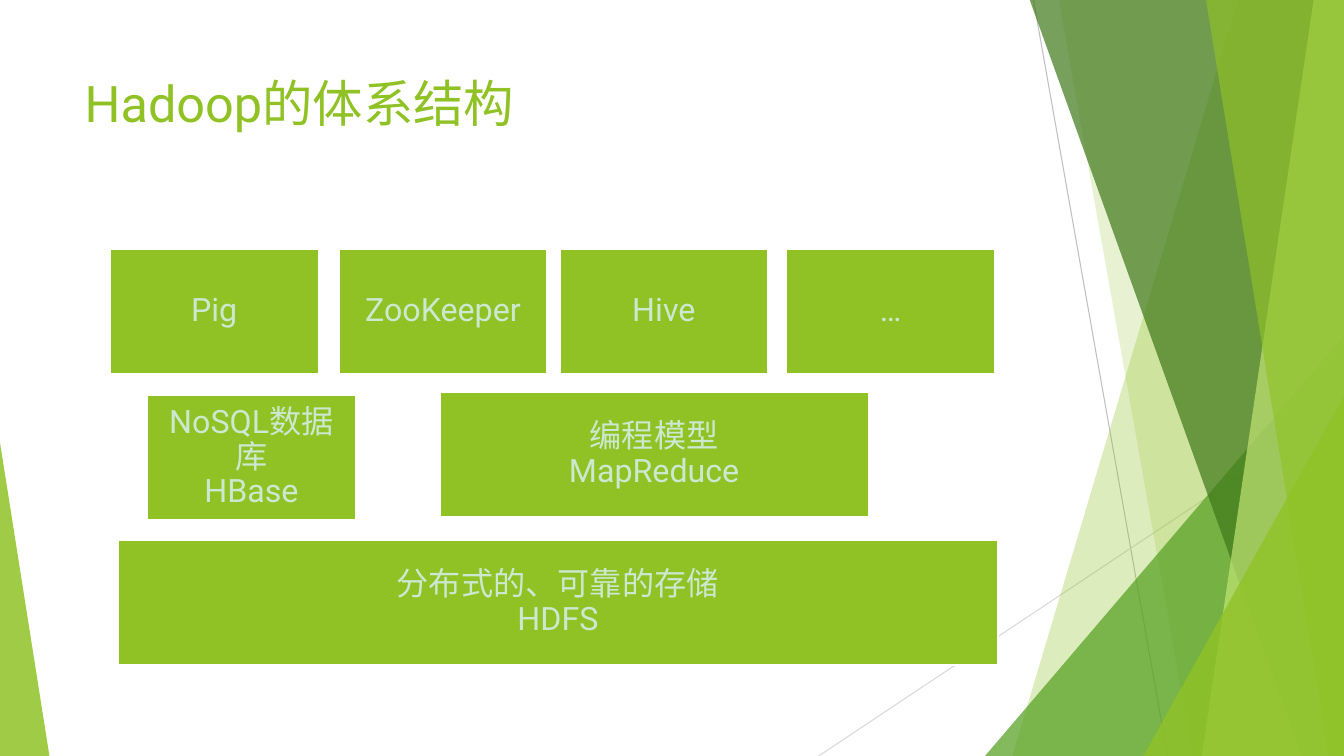
import pptx
import pptx.util
import pptx.dml.color
import pptx.enum.shapes
import pptx.enum.text
import pptx.oxml
import pptx.oxml.ns

GREEN, PALE, WHITE = "90C226", "CCE8CF", "FFFFFF"
COLUMNS, ROWS = 1333, 750

deck = pptx.Presentation()
deck.slide_width = pptx.util.Inches(13.33)
deck.slide_height = pptx.util.Inches(7.5)
column = deck.slide_width // COLUMNS
row = deck.slide_height // ROWS
page = deck.slides.add_slide(deck.slide_layouts[5])


def paint(fill, color):
    fill.solid()
    fill.fore_color.rgb = pptx.dml.color.RGBColor.from_string(color)


def write(shape, text, size=23, color=PALE, align="CENTER", anchor="MIDDLE", inset=0.1, spacing=0.9):
    frame = shape.text_frame
    frame.word_wrap = True
    frame.auto_size = pptx.enum.text.MSO_AUTO_SIZE.NONE
    frame.vertical_anchor = pptx.enum.text.MSO_ANCHOR[anchor]
    frame.margin_left = frame.margin_right = pptx.util.Inches(0.1)
    frame.margin_top = frame.margin_bottom = pptx.util.Inches(inset)
    para = frame.paragraphs[0]
    para.alignment = pptx.enum.text.PP_ALIGN[align]
    para.line_spacing = spacing
    for index, line in enumerate(text.split("\n")):
        if index:
            para.add_line_break()
        span = para.add_run()
        span.text = line
        span.font.size = pptx.util.Pt(size)
        span.font.name = "Roboto"
        paint(span.font.fill, color)


paint(page.background.fill, WHITE)

for left, top, right, bottom, color in [
    (1025, 0, 1158, ROWS, "BFBFBF"),
    (COLUMNS, 403, 812, ROWS, "D9D9D9"),
]:
    line = page.shapes.add_connector(
        pptx.enum.shapes.MSO_CONNECTOR.STRAIGHT,
        left * column, top * row, right * column, bottom * row)
    paint(line.line.fill, color)
    line.line.width = pptx.util.Pt(0.75)
    line.element.spPr.append(pptx.oxml.parse_xml(
        f"<a:effectLst {pptx.oxml.ns.nsdecls('a')}/>"))

for kind, first, second, color, opacity in [
    ("band", 1228, 1004, GREEN, 30),
    ("band", 1050, 1183, GREEN, 20),
    ("right corner", 977, 333, "54A021", 72),
    ("band", 1021, 1291, "3F7819", 70),
    ("band", 1303, 1192, "C0E474", 70),
    ("band", 1196, 1318, GREEN, 65),
    ("right corner", 1134, 393, GREEN, 80),
    ("left corner", 49, 439, GREEN, 85),
]:
    if kind == "band":
        outline = page.shapes.build_freeform(first * column, -row, scale=1.0)
        outline.add_line_segments([
            (COLUMNS * column, -row),
            (COLUMNS * column, ROWS * row),
            (second * column, ROWS * row),
        ], close=True)
        facet = outline.convert_to_shape()
    else:
        on_right = kind == "right corner"
        left = first if on_right else 0
        width = COLUMNS - first if on_right else first
        facet = page.shapes.add_shape(
            pptx.enum.shapes.MSO_SHAPE.ISOSCELES_TRIANGLE,
            left * column, second * row, width * column, (ROWS - second) * row)
        facet.adjustments[0] = 1 if on_right else 0
    facet.shadow.inherit = False
    facet.line.fill.background()
    paint(facet.fill, color)
    tint = facet.element.spPr.find(pptx.oxml.ns.qn("a:solidFill"))[0]
    tint.append(pptx.oxml.parse_xml(
        f"<a:alpha {pptx.oxml.ns.nsdecls('a')} val=\"{opacity * 1000}\"/>"))

title = page.shapes.title
title.left, title.top = 74 * column, 67 * row
title.width, title.height = 940 * column, 144 * row
write(title, "Hadoop的体系结构", size=36, color=GREEN, align="LEFT",
      anchor="TOP", inset=0.05, spacing=1.0)

box_width, box_height = 207, 124
for left, top, width, label in [
    (109, 247, box_width, "Pig"),
    (336, 247, box_width, "ZooKeeper"),
    (555, 247, box_width, "Hive"),
    (780, 247, box_width, "…"),
    (146, 392, box_width, "NoSQL数据库\nHBase"),
    (436, 389, 426, "编程模型\nMapReduce"),
    (117, 536, 873, "分布式的、可靠的存储\nHDFS"),
]:
    box = page.shapes.add_shape(
        pptx.enum.shapes.MSO_SHAPE.RECTANGLE,
        left * column, top * row, width * column, box_height * row)
    box.shadow.inherit = False
    paint(box.fill, GREEN)
    paint(box.line.fill, WHITE)
    box.line.width = pptx.util.Pt(1.5)
    write(box, label)

deck.save("out.pptx")
